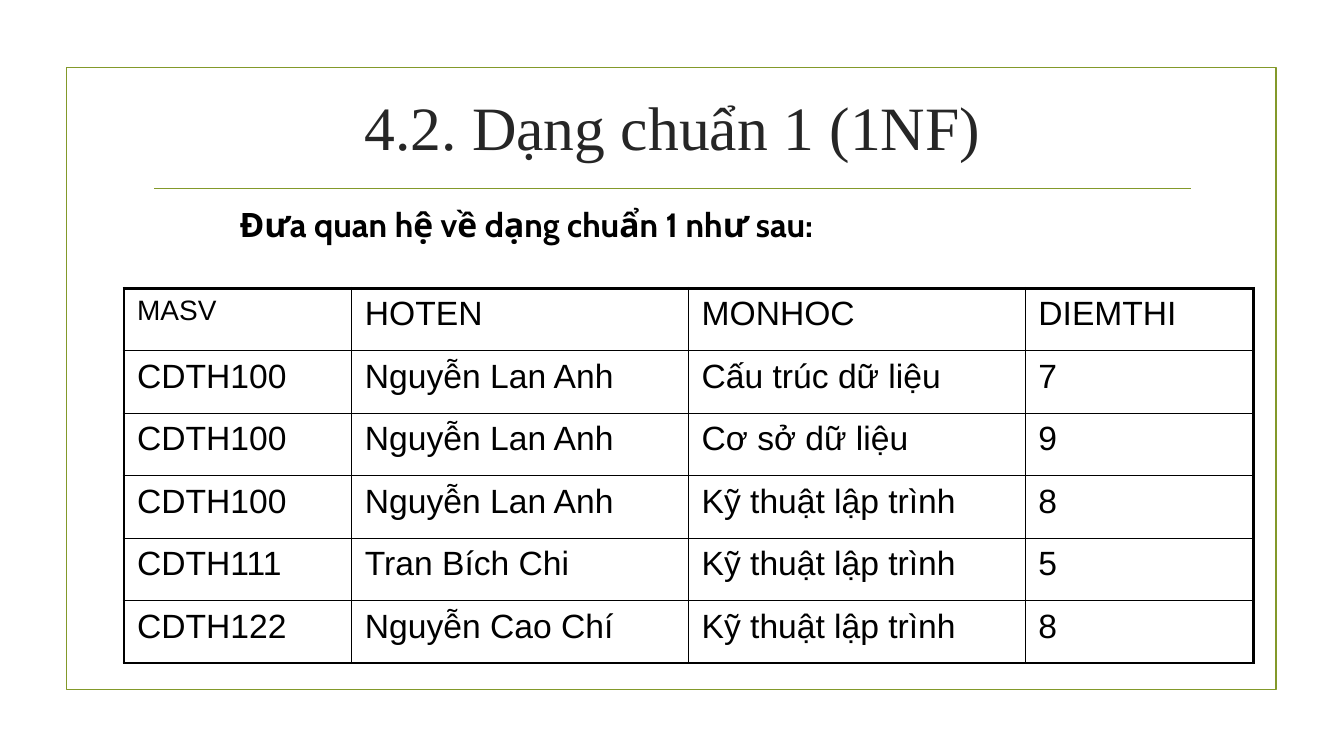
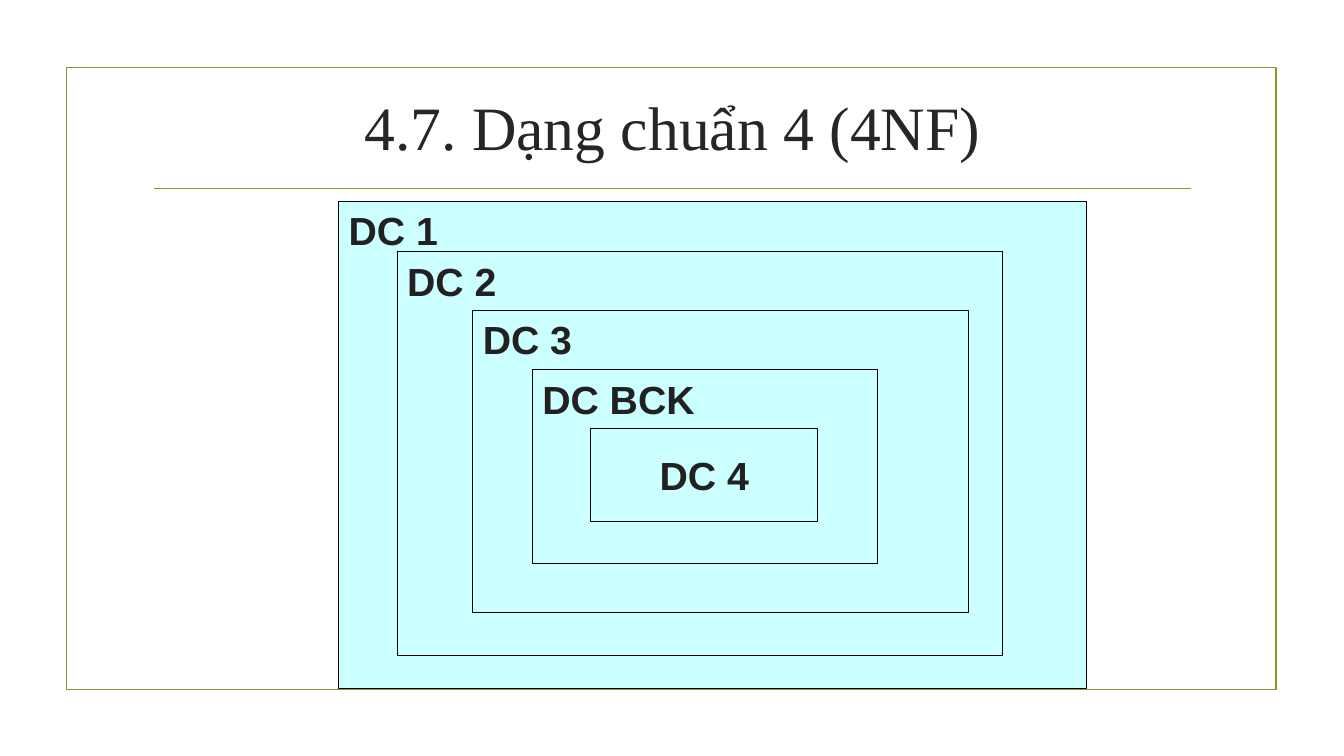
"""Build two slides on normal forms: a 1NF table and the nesting of normal forms."""
from lxml.etree import SubElement
from pptx import Presentation
from pptx.dml.color import RGBColor
from pptx.enum.shapes import MSO_CONNECTOR, MSO_SHAPE
from pptx.enum.text import MSO_ANCHOR, PP_ALIGN
from pptx.oxml.ns import qn
from pptx.util import Inches, Pt

GREEN, BLACK, TITLE_INK, BOX_INK, CYAN = "83992A", "000000", "262626", "212121", "CCFFFF"
TITLE_FONT, BODY_FONT, LEAD_FONT = "Times New Roman", "Arial", "Cabin"

TABLE_TITLE = "4.2. Dạng chuẩn 1 (1NF)"
LEAD = "Đưa quan hệ về dạng chuẩn 1 như sau:"
COL_WIDTHS = [2.26, 3.34, 3.34, 2.26]
ROW_HEIGHT = 0.62
ROWS = [
    ("MASV", "HOTEN", "MONHOC", "DIEMTHI"),
    ("CDTH100", "Nguyễn Lan Anh", "Cấu trúc dữ liệu", "7"),
    ("CDTH100", "Nguyễn Lan Anh", "Cơ sở dữ liệu", "9"),
    ("CDTH100", "Nguyễn Lan Anh", "Kỹ thuật lập trình", "8"),
    ("CDTH111", "Tran Bích Chi", "Kỹ thuật lập trình", "5"),
    ("CDTH122", "Nguyễn Cao Chí", "Kỹ thuật lập trình", "8"),
]

NESTING_TITLE = "4.7. Dạng chuẩn 4 (4NF)"
NORMAL_FORMS = [
    ("DC 1", 3.36, 2, 7.42, 4.83),
    ("DC 2", 3.94, 2.5, 6, 4),
    ("DC 3", 4.69, 3.08, 4.92, 3),
    ("DC BCK", 5.28, 3.67, 3.42, 1.92),
    ("DC 4", 5.86, 4.25, 2.25, 0.92),
]


def rgb(color):
    return RGBColor.from_string(color)


def inches(*values):
    return [Inches(v) for v in values]


def write(tf, text, size, font, color, align, bold=False):
    tf.text = text
    p = tf.paragraphs[0]
    p.alignment = align
    f = p.runs[0].font
    f.size, f.name, f.bold = Pt(size), font, bold
    f.color.rgb = rgb(color)


def set_line(sp, color, width):
    sp.line.color.rgb = rgb(color)
    sp.line.width = Pt(width)


def add_box(slide, box, line, width, fill=None):
    sp = slide.shapes.add_shape(MSO_SHAPE.RECTANGLE, *inches(*box))
    sp.shadow.inherit = False
    set_line(sp, line, width)
    if fill:
        sp.fill.solid()
        sp.fill.fore_color.rgb = rgb(fill)
    else:
        sp.fill.background()
    return sp


def decorate_layout(layout, slide):
    frame = add_box(slide, (0.66, 0.67, 12, 6.17), GREEN, 1.25)
    rule = slide.shapes.add_connector(MSO_CONNECTOR.STRAIGHT, *inches(1.53, 1.87, 11.81, 1.87))
    set_line(rule, GREEN, 1.25)
    SubElement(rule.element.spPr, qn("a:effectLst"))
    for i, sp in enumerate((frame, rule)):
        layout.shapes.element.insert(2 + i, sp.element)
    title = layout.placeholders[0]
    title.left, title.top, title.width, title.height = inches(1.42, 0.68, 10.5, 1.14)


def add_title(slide, text):
    tf = slide.shapes.title.text_frame
    tf.vertical_anchor = MSO_ANCHOR.MIDDLE
    write(tf, text, 44, TITLE_FONT, TITLE_INK, PP_ALIGN.CENTER)


def set_borders(cell, outer):
    tcPr = cell._tc.get_or_add_tcPr()
    for side in "LRTB":
        width = Pt(2.25 if side in outer else 1)
        ln = SubElement(tcPr, qn(f"a:ln{side}"), w=str(width))
        SubElement(SubElement(ln, qn("a:solidFill")), qn("a:srgbClr"), val=BLACK)


def add_grid(slide):
    n_rows, n_cols = len(ROWS), len(COL_WIDTHS)
    size = sum(COL_WIDTHS), ROW_HEIGHT * n_rows
    table = slide.shapes.add_table(n_rows, n_cols, *inches(1.23, 2.86, *size)).table
    table.first_row = table.horz_banding = False
    for col, width in zip(table.columns, COL_WIDTHS):
        col.width = Inches(width)
    for r, row in enumerate(ROWS):
        table.rows[r].height = Inches(ROW_HEIGHT)
        for c, text in enumerate(row):
            cell = table.cell(r, c)
            cell.margin_left = cell.margin_right = Inches(0.13)
            cell.margin_top = cell.margin_bottom = Inches(0.07)
            size = 20 if r == c == 0 else 24
            write(cell.text_frame, text, size, BODY_FONT, BLACK, PP_ALIGN.JUSTIFY)
            edges = {"L": c == 0, "R": c == n_cols - 1, "T": r == 0, "B": r == n_rows - 1}
            set_borders(cell, [side for side, is_outer in edges.items() if is_outer])
            cell.fill.background()


def add_lead(slide):
    tf = slide.shapes.add_textbox(*inches(1, 1.97, 8.44, 0.5)).text_frame
    tf.word_wrap = True
    write(tf, LEAD, 24, LEAD_FONT, BLACK, PP_ALIGN.CENTER, bold=True)


def add_nesting(slide):
    for i, (text, *box) in enumerate(NORMAL_FORMS):
        innermost = i == len(NORMAL_FORMS) - 1
        tf = add_box(slide, box, BLACK, 0.75, CYAN).text_frame
        tf.vertical_anchor = MSO_ANCHOR.MIDDLE if innermost else MSO_ANCHOR.TOP
        align = PP_ALIGN.CENTER if innermost else PP_ALIGN.LEFT
        write(tf, text, 28, BODY_FONT, BOX_INK, align, bold=True)


def main():
    prs = Presentation()
    prs.slide_width, prs.slide_height = inches(13.33, 7.5)
    layout = prs.slide_layouts[5]
    table_slide, nesting_slide = [prs.slides.add_slide(layout) for _ in range(2)]
    decorate_layout(layout, table_slide)
    add_title(table_slide, TABLE_TITLE)
    add_grid(table_slide)
    add_lead(table_slide)
    add_title(nesting_slide, NESTING_TITLE)
    add_nesting(nesting_slide)
    prs.save("out.pptx")


if __name__ == "__main__":
    main()
